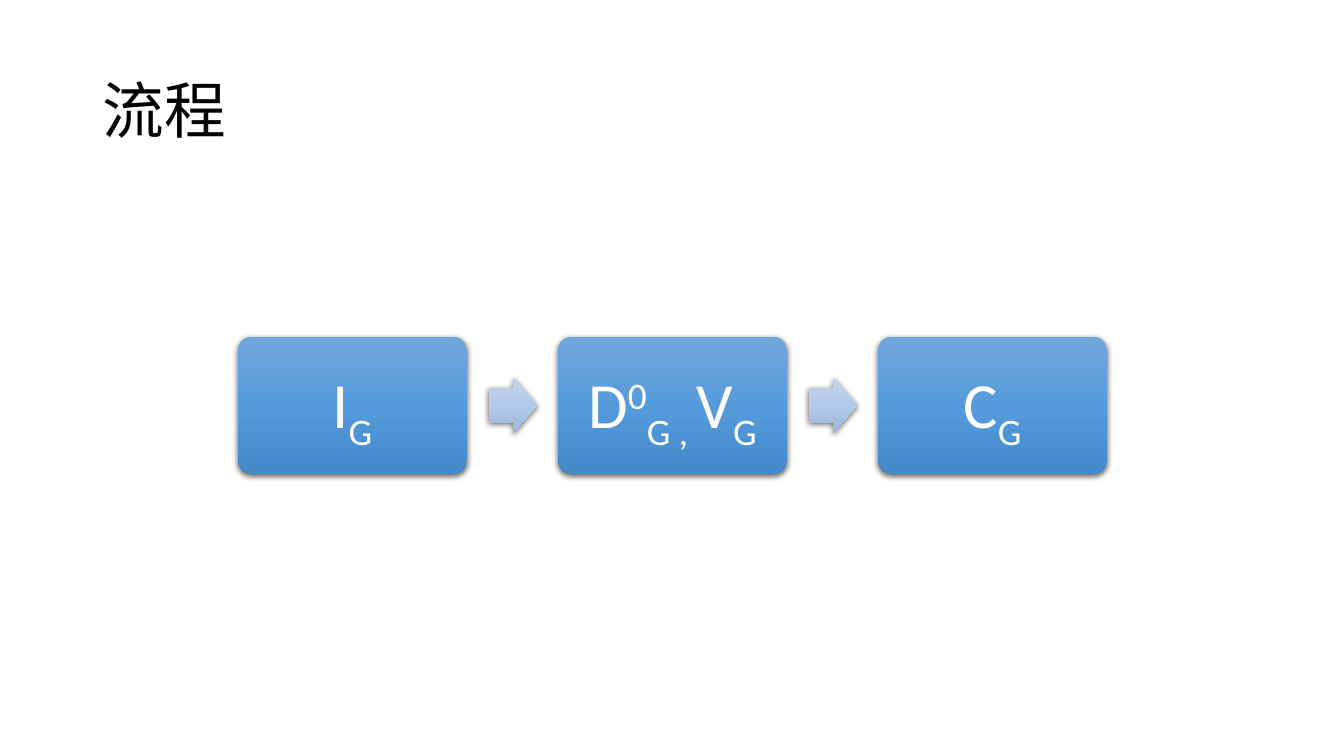
from lxml import etree
from pptx import Presentation
from pptx.dml.color import RGBColor
from pptx.enum.shapes import MSO_SHAPE as SHAPE
from pptx.enum.text import MSO_ANCHOR as ANCHOR, PP_ALIGN as ALIGN
from pptx.oxml import parse_xml
from pptx.oxml.ns import nsdecls, qn
from pptx.util import Inches, Pt


def add_block(kind, x, y, w, h, adjustments, colours):
    """Add a shape with a three-stop vertical gradient and a soft shadow."""
    sp = slide.shapes.add_shape(kind, *map(Inches, (x, y, w, h)))
    for i, value in enumerate(adjustments):
        sp.adjustments[i] = value
    sp.fill.gradient()
    sp.fill.gradient_angle = 270
    stops = sp._element.spPr.find(".//" + qn("a:gsLst"))
    for stop in list(stops):
        stops.remove(stop)
    for pos, colour in zip((0, 50000, 100000), colours):
        stop = etree.SubElement(stops, qn("a:gs"), pos=str(pos))
        etree.SubElement(stop, qn("a:srgbClr"), val=colour)
    sp.line.fill.background()
    sp.shadow.inherit = False
    sp._element.spPr.find(qn("a:effectLst")).append(parse_xml(
        f'<a:outerShdw {nsdecls("a")} blurRad="{Pt(4.5)}" dist="{Pt(1.5)}" dir="5400000" '
        'algn="ctr" rotWithShape="0"><a:srgbClr val="000000"><a:alpha val="63000"/>'
        '</a:srgbClr></a:outerShdw>'))
    return sp


def add_run(p, text, size, colour):
    r = p.add_run()
    r.text = text
    for name, value in {"name": "Calibri", "size": Pt(size)}.items():
        setattr(r.font, name, value)
    r.font.color.rgb = RGBColor.from_string(colour)
    return r


prs = Presentation()
prs.slide_width, prs.slide_height = Inches(13.33), Inches(7.5)
slide = prs.slides.add_slide(prs.slide_layouts[6])

tf = slide.shapes.add_textbox(*map(Inches, (0.92, 0.4, 11.5, 1.45))).text_frame
tf.word_wrap, tf.vertical_anchor = True, ANCHOR.MIDDLE
tf.paragraphs[0].line_spacing = 0.9
add_run(tf.paragraphs[0], "流程", 44, "000000")

# Each step is a list of (text, baseline shift in percent)
STEPS = [
    [("I", 0), ("G", -25)],
    [("D", 0), ("0", 30), ("G , ", -25), ("V", 0), ("G", -25)],
    [("C", 0), ("G", -25)],
]
LEFT, MIDDLE, PITCH = 2.36, 4.02, 3.175
BOX_W, BOX_H, ARROW_W, ARROW_H, ARROW_GAP = 2.27, 1.36, 0.48, 0.56, 0.22

for i, step in enumerate(STEPS):
    x = LEFT + i * PITCH
    box = add_block(SHAPE.ROUNDED_RECTANGLE, x, MIDDLE - BOX_H / 2, BOX_W, BOX_H,
                    [0.1], ["71A6DB", "559BDB", "448ACA"])
    tf = box.text_frame
    inset = Inches(0.2)
    for name, value in {"word_wrap": True, "vertical_anchor": ANCHOR.MIDDLE,
                        "margin_left": inset, "margin_right": inset,
                        "margin_top": inset, "margin_bottom": inset}.items():
        setattr(tf, name, value)
    p = tf.paragraphs[0]
    p.alignment, p.line_spacing = ALIGN.CENTER, 0.9
    for text, shift in step:
        r = add_run(p, text, 46, "FFFFFF")
        if shift:
            r.font._element.set("baseline", str(shift * 1000))
    if i < len(STEPS) - 1:
        add_block(SHAPE.RIGHT_ARROW, x + BOX_W + ARROW_GAP, MIDDLE - ARROW_H / 2,
                  ARROW_W, ARROW_H, [0.6, 0.5], ["C0D2EB", "B3CBE9", "9BB4D3"])

prs.save("out.pptx")
